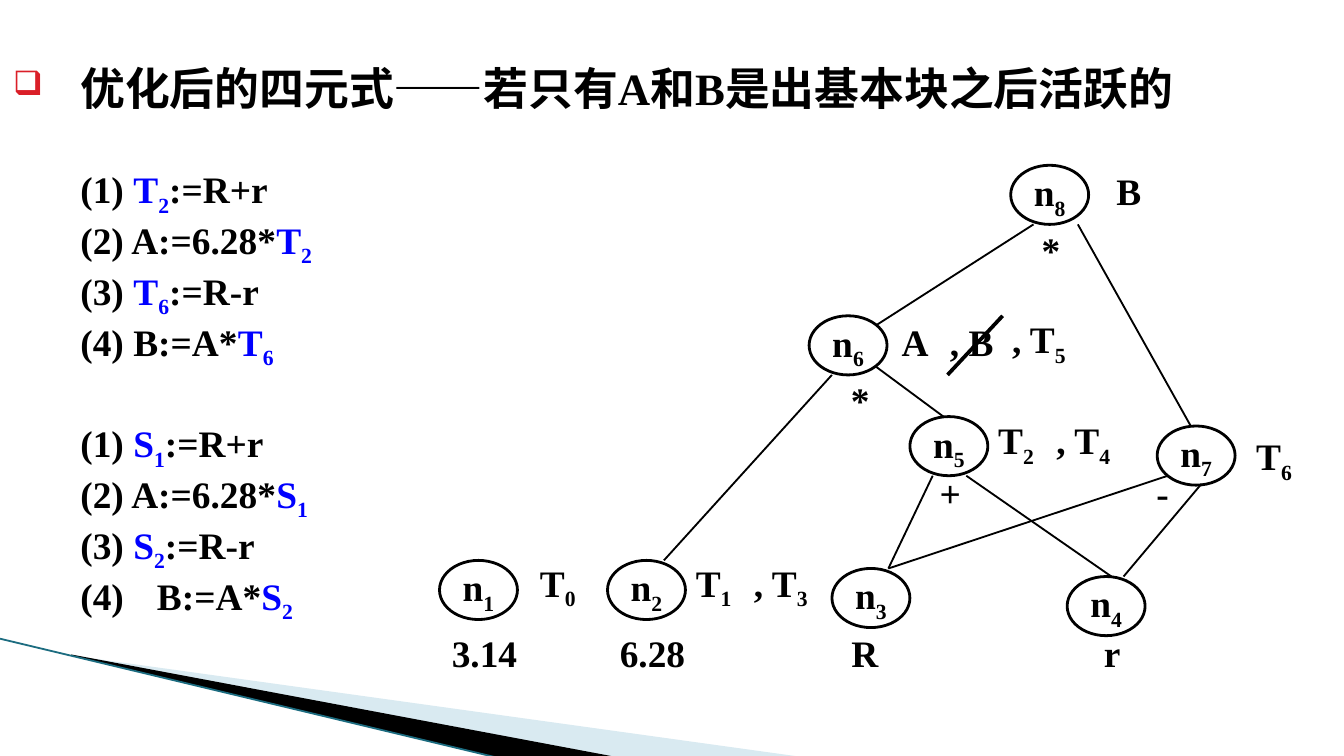
from lxml.etree import SubElement
from pptx import Presentation
from pptx.dml.color import RGBColor
from pptx.enum.shapes import MSO_CONNECTOR, MSO_SHAPE
from pptx.enum.text import MSO_ANCHOR, PP_ALIGN
from pptx.oxml.ns import qn
from pptx.util import Inches, Pt

BLACK = RGBColor(0, 0, 0)
BLUE = RGBColor(0, 0, 255)
RED = RGBColor(0xDA, 0x1F, 0x28)
PALE = RGBColor(0xD9, 0xEA, 0xF1)
TEAL = RGBColor(0x1C, 0x6C, 0x80)
FONT = "Times New Roman"

TITLE = "优化后的四元式——若只有A和B是出基本块之后活跃的"
CODE = [
    [("(1) ", "T", "2", ":=R+r"), ("(2) A:=6.28*", "T", "2", ""),
     ("(3) ", "T", "6", ":=R-r"), ("(4) B:=A*", "T", "6", "")],
    [("(1) ", "S", "1", ":=R+r"), ("(2) A:=6.28*", "S", "1", ""),
     ("(3) ", "S", "2", ":=R-r"), ("(4)\t B:=A*", "S", "2", "")],
]
NODE_SIZE = (0.58, 0.44)
NODES = {"1": (3.27, 4.17), "2": (4.52, 4.17), "3": (6.19, 4.23), "4": (7.94, 4.29),
         "5": (6.77, 3.1), "6": (6.02, 2.35), "7": (8.61, 3.17), "8": (7.52, 1.23)}
VALUES = [("3.14", 3.19, 4.73), ("6.28", 4.44, 4.73), ("R", 6.02, 4.73), ("r", 7.86, 4.73)]
OPERATORS = [("+", 6.86, 3.54), ("*", 6.19, 2.85), ("-", 8.44, 3.54), ("*", 7.61, 1.73)]
VARIABLES = [("T", "0", 3.86, 4.23), ("T", "1", 5.02, 4.23), (", T", "3", 5.52, 4.23),
             ("T", "2", 7.27, 3.17), (", T", "4", 7.77, 3.17), ("A", "", 6.52, 2.42),
             (", B", "", 6.94, 2.42), (", T", "5", 7.44, 2.42), ("T", "6", 9.19, 3.29),
             ("B", "", 8.11, 1.29)]
EDGES = [(6.94, 3.54, 6.61, 4.23), (7.19, 3.54, 8.27, 4.29), (6.19, 2.79, 4.94, 4.17),
         (6.52, 2.73, 7.02, 3.1), (6.61, 4.23, 8.69, 3.54), (8.36, 4.29, 8.94, 3.6),
         (7.69, 1.67, 6.52, 2.42), (8.02, 1.67, 8.86, 3.17)]
STRIKE = (7.46, 2.35, 7.05, 2.79)
WEDGES = [([(0.55, 4.88), (5.95, 5.63), (4.56, 5.63)], PALE),
          ([(0.53, 4.87), (4.57, 5.63), (3.72, 5.64), (0.54, 4.88)], BLACK)]
SWEEP = (-0.01, 4.75, 3.71, 5.64)

deck = Presentation()
deck.slide_width = Inches(10)
deck.slide_height = deck.slide_width * 9 // 16
page = deck.slides.add_slide(deck.slide_layouts[6])


def add_span(para, text, size=20, color=BLACK, subscript=False):
    span = para.add_run()
    span.text = text
    span.font.name = FONT
    span.font.size = Pt(size)
    span.font.bold = True
    span.font.color.rgb = color
    if subscript:
        span._r.get_or_add_rPr().set("baseline", "-25000")


def add_box(left, top, width, height):
    box = page.shapes.add_textbox(*map(Inches, (left, top, width, height)))
    box.text_frame.word_wrap = True
    return box


def hang(para):
    props = para._p.get_or_add_pPr()
    props.set("marL", str(Inches(0.5)))
    props.set("indent", str(-Inches(0.5)))
    return props


def add_label(shape, text, index=""):
    frame = shape.text_frame
    frame.word_wrap = False
    frame.vertical_anchor = MSO_ANCHOR.MIDDLE
    frame.margin_left = frame.margin_right = frame.margin_top = frame.margin_bottom = 0
    para = frame.paragraphs[0]
    para.alignment = PP_ALIGN.CENTER
    add_span(para, text)
    if index:
        add_span(para, index, subscript=True)


def add_line(ends, width, color=BLACK):
    line = page.shapes.add_connector(MSO_CONNECTOR.STRAIGHT, *map(Inches, ends))
    line.line.color.rgb = color
    line.line.width = Pt(width)
    SubElement(line._element.spPr, qn("a:effectLst"))


for corners, color in WEDGES:
    points = [(Inches(x), Inches(y)) for x, y in corners]
    outline = page.shapes.build_freeform(*points[0])
    outline.add_line_segments(points[1:], close=True)
    wedge = outline.convert_to_shape()
    wedge.shadow.inherit = False
    wedge.fill.solid()
    wedge.fill.fore_color.rgb = color
    wedge.line.fill.background()
add_line(SWEEP, 0.95, TEAL)

title = add_box(0, 0.4, 9.4, 0.69).text_frame.paragraphs[0]
props = hang(title)
SubElement(SubElement(props, qn("a:buClr")), qn("a:srgbClr")).set("val", str(RED))
SubElement(props, qn("a:buSzPct")).set("val", "75000")
SubElement(props, qn("a:buFont")).set("typeface", "Wingdings")
SubElement(props, qn("a:buChar")).set("char", "q")
add_span(title, TITLE, 24)

frame = add_box(0.5, 1.24, 2.6, 3.6).text_frame
frame.margin_top = 0
for block, lines in enumerate(CODE):
    for row, (before, name, index, after) in enumerate(lines):
        para = frame.add_paragraph() if block or row else frame.paragraphs[0]
        hang(para)
        para.line_spacing = Pt(27.2)
        if block and row == 0:
            para.space_before = Pt(27.2)
        add_span(para, before)
        add_span(para, name, color=BLUE)
        add_span(para, index, color=BLUE, subscript=True)
        if after:
            add_span(para, after)

for ends in EDGES:
    add_line(ends, 1)
for index, corner in NODES.items():
    node = page.shapes.add_shape(MSO_SHAPE.OVAL, *map(Inches, corner + NODE_SIZE))
    node.shadow.inherit = False
    node.fill.background()
    node.line.color.rgb = BLACK
    node.line.width = Pt(1.5)
    add_label(node, "n", index)
for labels, width in ((VALUES, 0.83), (OPERATORS, 0.42), (VARIABLES, 0.58)):
    for *texts, left, top in labels:
        add_label(add_box(left, top, width, 0.25), *texts)
add_line(STRIKE, 2)

deck.save("out.pptx")
